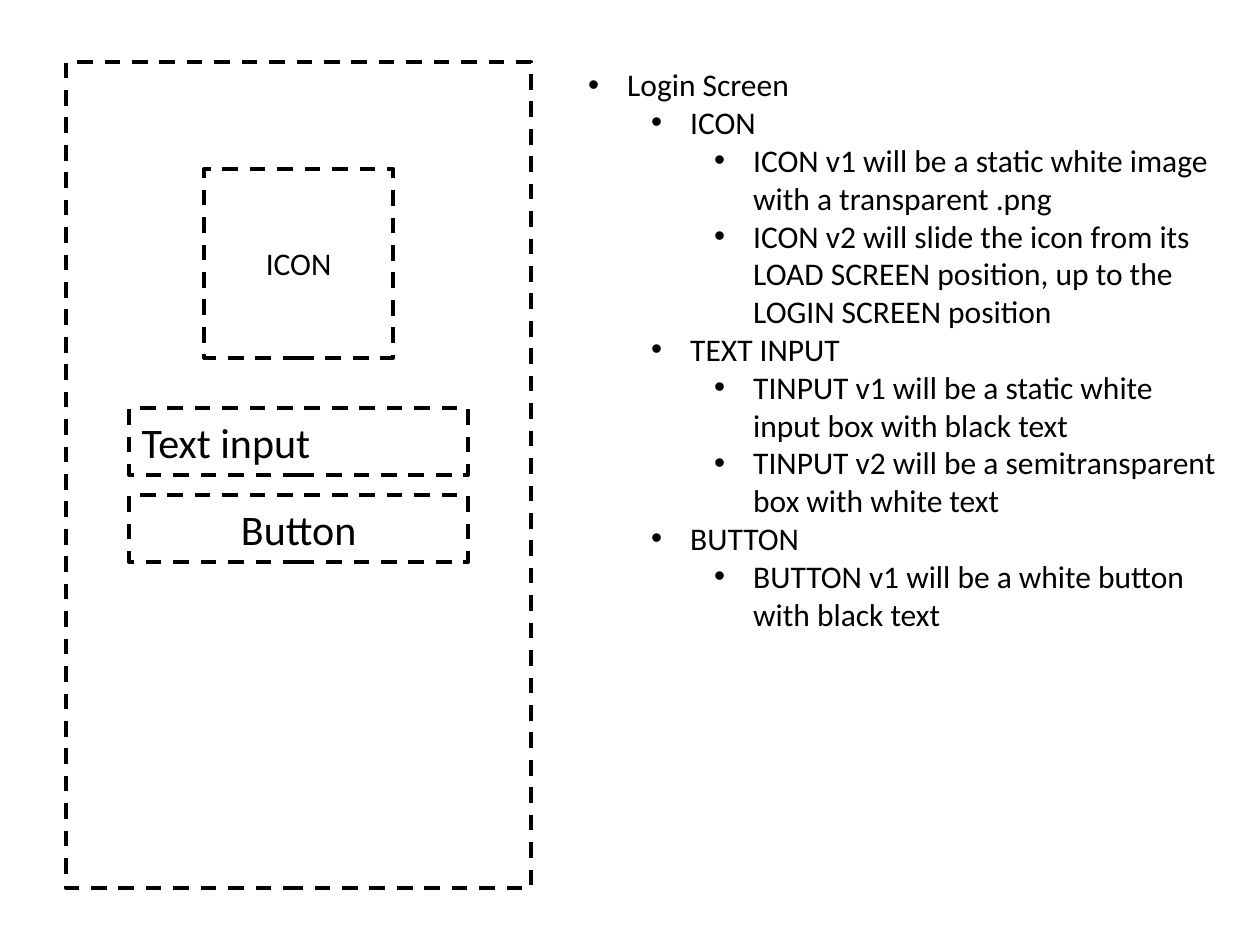
"""Build a login screen wireframe slide with its specification list."""
from dataclasses import dataclass

from lxml import etree
from pptx import Presentation
from pptx import util as u
from pptx.dml.color import RGBColor
from pptx.enum import dml, shapes, text
from pptx.oxml import ns


@dataclass(frozen=True)
class Theme:
    font: str = "Calibri"
    ink: RGBColor = RGBColor(0, 0, 0)
    body: int = 18
    control: int = 24
    outline: float = 2.25


THEME = Theme()
LEFT, CENTER = text.PP_ALIGN.LEFT, text.PP_ALIGN.CENTER


def write(p, content, size=THEME.body, align=LEFT, level=None):
    p.alignment = align
    r = p.add_run()
    r.text = content
    r.font.name = THEME.font
    r.font.size = u.Pt(size)
    r.font.color.rgb = THEME.ink
    if level is not None:
        p.level = level
        pPr = p._p.get_or_add_pPr()
        pPr.set("marL", str(u.Inches(0.31 + 0.5 * level)))
        pPr.set("indent", str(u.Inches(-0.31)))
        etree.SubElement(pPr, ns.qn("a:buFont")).set("typeface", "Arial")
        etree.SubElement(pPr, ns.qn("a:buChar")).set("char", "•")


prs = Presentation()
prs.slide_width, prs.slide_height = u.Inches(10), u.Inches(7.5)
s = prs.slides.add_slide(prs.slide_layouts[6])

boxes = [
    ("", 0.49, 3.69, 6.56, THEME.body, CENTER),
    ("ICON", 1.34, 1.5, 1.5, THEME.body, CENTER),
    ("Text input", 3.24, 2.69, 0.53, THEME.control, LEFT),
    ("Button", 3.93, 2.69, 0.53, THEME.control, CENTER),
]
screen_center = 2.37
for label, top, width, height, size, align in boxes:
    sp = s.shapes.add_shape(
        shapes.MSO_SHAPE.RECTANGLE,
        u.Inches(screen_center - width / 2), u.Inches(top),
        u.Inches(width), u.Inches(height),
    )
    sp.shadow.inherit = False
    sp.fill.background()
    sp.line.color.rgb = THEME.ink
    sp.line.width = u.Pt(THEME.outline)
    sp.line.dash_style = dml.MSO_LINE.DASH
    if label:
        tf = sp.text_frame
        tf.vertical_anchor = text.MSO_ANCHOR.MIDDLE
        write(tf.paragraphs[0], label, size=size, align=align)

items = [
    (0, "Login Screen"),
    (1, "ICON"),
    (2, "ICON v1 will be a static white image with a transparent .png"),
    (2, "ICON v2 will slide the icon from its LOAD SCREEN position, up to the LOGIN SCREEN position"),
    (1, "TEXT INPUT"),
    (2, "TINPUT v1 will be a static white input box with black text"),
    (2, "TINPUT v2 will be a semitransparent box with white text"),
    (1, "BUTTON"),
    (2, "BUTTON v1 will be a white button with black text"),
]
tf = s.shapes.add_textbox(
    u.Inches(4.57), u.Inches(0.47), u.Inches(5.26), u.Inches(4.64)
).text_frame
tf.word_wrap = True
tf.auto_size = text.MSO_AUTO_SIZE.SHAPE_TO_FIT_TEXT
for i, (level, content) in enumerate(items):
    p = tf.add_paragraph() if i else tf.paragraphs[0]
    write(p, content, level=level)

prs.save("out.pptx")
